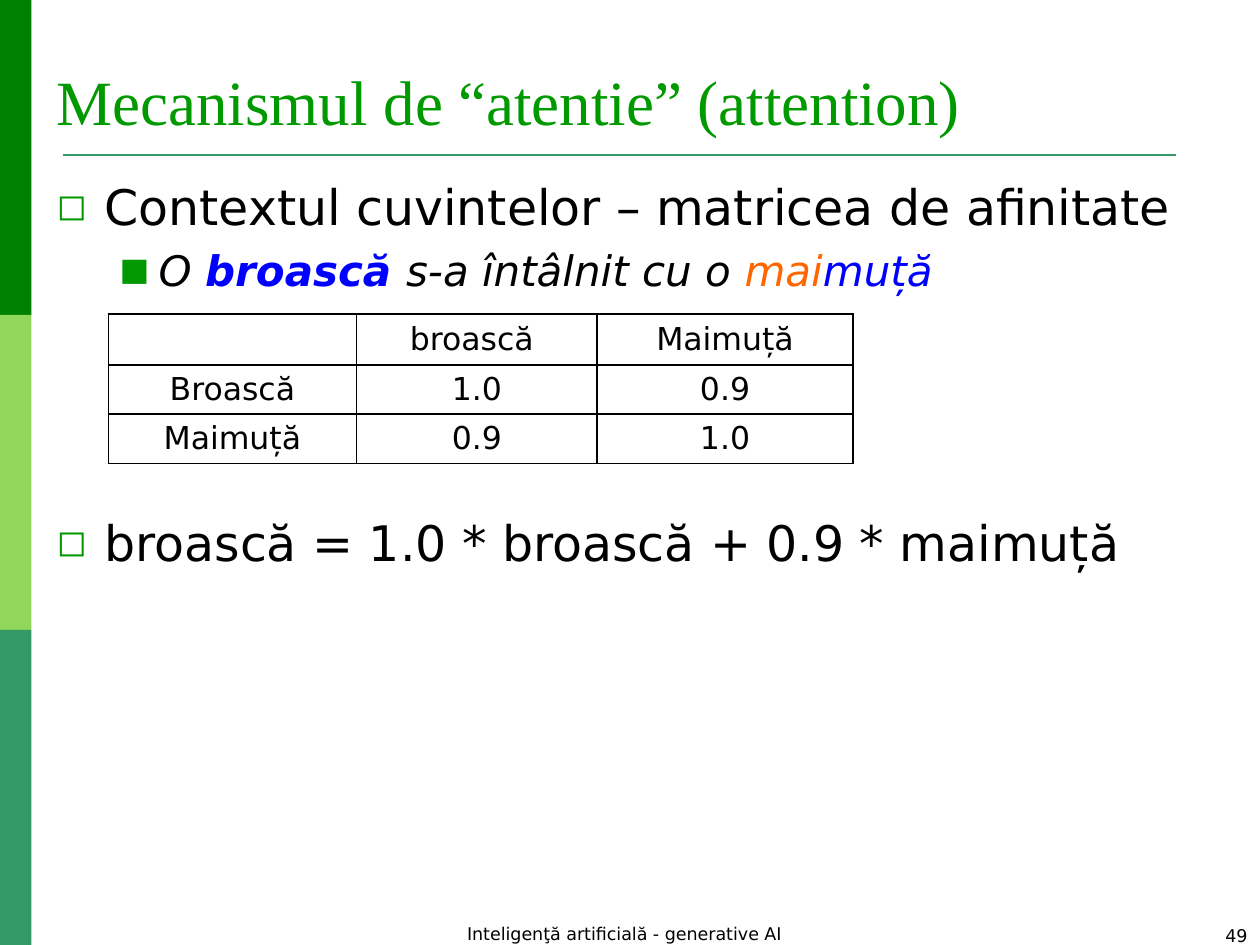
from lxml import etree
from pptx import Presentation
from pptx import util as u
from pptx.dml.color import RGBColor
from pptx.enum import shapes, text
from pptx.oxml import ns

SANS, SERIF = "DejaVu Sans", "Times New Roman"
BLACK, GREEN, TEAL = "000000", "009900", "339966"
BLUE, ORANGE = "0000FF", "FF6600"


def color(hex_value):
    return RGBColor.from_string(hex_value)


def add_xml(parent, tag, **attributes):
    return etree.SubElement(parent, ns.qn(tag), attributes)


class SlideBuilder:
    def __init__(self, slide):
        self.slide = slide

    def place(self, shape, left, top, width, height):
        shape.left, shape.top = u.Inches(left), u.Inches(top)
        shape.width, shape.height = u.Inches(width), u.Inches(height)

    def run(self, paragraph, words, size, hex_value=BLACK, face=SANS,
            bold=False, italic=False):
        run = paragraph.add_run()
        run.text = words
        font = run.font
        font.name, font.size = face, u.Pt(size)
        font.bold, font.italic = bold, italic
        font.color.rgb = color(hex_value)

    def band(self, top, height, hex_value):
        band = self.slide.shapes.add_shape(
            shapes.MSO_SHAPE.RECTANGLE, 0, u.Inches(top),
            u.Inches(0.25), u.Inches(height))
        band.shadow.inherit = False
        band.fill.solid()
        band.fill.fore_color.rgb = color(hex_value)
        band.line.fill.background()

    def rule(self, left, right, y):
        rule = self.slide.shapes.add_connector(
            shapes.MSO_CONNECTOR.STRAIGHT, u.Inches(left), u.Inches(y),
            u.Inches(right), u.Inches(y))
        rule.line.color.rgb = color(TEAL)
        rule.line.width = u.Pt(1.5)
        add_xml(rule._element.spPr, "a:effectLst")

    def title(self, words):
        title = self.slide.shapes.title
        self.place(title, 0.35, 0.13, 9.45, 1.02)
        frame = title.text_frame
        frame.auto_size = text.MSO_AUTO_SIZE.NONE
        frame.vertical_anchor = text.MSO_ANCHOR.BOTTOM
        heading = frame.paragraphs[0]
        heading.alignment = text.PP_ALIGN.LEFT
        self.run(heading, words, 36, GREEN, SERIF)

    def bullets(self, items):
        body = self.slide.placeholders[1]
        self.place(body, 0.35, 1.31, 9.45, 5.98)
        frame = body.text_frame
        frame.auto_size = text.MSO_AUTO_SIZE.NONE
        frame.margin_top = u.Inches(0.09)
        for index, (level, space, size, runs) in enumerate(items):
            item = frame.paragraphs[0] if index == 0 else frame.add_paragraph()
            item.level = level
            self.bullet_mark(item, level)
            item.space_before = u.Pt(space)
            for words, style in runs:
                self.run(item, words, size, **style)

    def bullet_mark(self, paragraph, level):
        mark, margin, hanging = (("◻", 0.38, 0.38), ("■", 0.81, 0.31))[level]
        props = paragraph._p.get_or_add_pPr()
        props.set("marL", str(u.Inches(margin)))
        props.set("indent", str(-u.Inches(hanging)))
        add_xml(add_xml(props, "a:buClr"), "a:srgbClr", val=GREEN)
        add_xml(props, "a:buSzPct", val="75000")
        add_xml(props, "a:buFont", typeface=SANS)
        add_xml(props, "a:buChar", char=mark)

    def table(self, left, top, widths, row_height, rows):
        table = self.slide.shapes.add_table(
            len(rows), len(widths), u.Inches(left), u.Inches(top),
            u.Inches(sum(widths)), u.Inches(row_height * len(rows))).table
        table.first_row = table.horz_banding = False
        for column, width in zip(table.columns, widths):
            column.width = u.Inches(width)
        for row, values in enumerate(rows):
            for column, value in enumerate(values):
                cell = table.cell(row, column)
                self.cell_borders(cell)
                cell.fill.background()
                cell.vertical_anchor = text.MSO_ANCHOR.MIDDLE
                entry = cell.text_frame.paragraphs[0]
                entry.alignment = text.PP_ALIGN.CENTER
                if value:
                    self.run(entry, value, 18)

    def cell_borders(self, cell):
        props = cell._tc.get_or_add_tcPr()
        for side in ("a:lnL", "a:lnR", "a:lnT", "a:lnB"):
            border = add_xml(props, side, w=str(u.Pt(1)))
            add_xml(add_xml(border, "a:solidFill"), "a:srgbClr", val=BLACK)

    def footer(self, words, left, top, width, height, alignment):
        footer = self.slide.shapes.add_textbox(0, 0, 0, 0)
        self.place(footer, left, top, width, height)
        footer.text_frame.word_wrap = True
        note = footer.text_frame.paragraphs[0]
        note.alignment = alignment
        self.run(note, words, 10)


def main():
    deck = Presentation()
    deck.slide_width, deck.slide_height = u.Inches(10), u.Inches(7.5)
    builder = SlideBuilder(deck.slides.add_slide(deck.slide_layouts[1]))

    # Side bands and the rule under the title
    for index, hex_value in enumerate(("008000", "90D75B", TEAL)):
        builder.band(2.5 * index, 2.5, hex_value)
    builder.rule(0.5, 9.33, 1.23)

    # Title and list; the wide gap leaves room for the table
    builder.title("Mecanismul de “atentie” (attention)")
    builder.bullets([
        (0, 0, 28, [("Contextul cuvintelor – matricea de afinitate", {})]),
        (1, 5.5, 24, [
            ("O ", {"italic": True}),
            ("broască ", {"italic": True, "bold": True, "hex_value": BLUE}),
            ("s-a întâlnit cu o ", {"italic": True}),
            ("mai", {"italic": True, "hex_value": ORANGE}),
            ("muță", {"italic": True, "hex_value": BLUE}),
        ]),
        (0, 124, 28, [("broască = 1.0 * broască + 0.9 * maimuță", {})]),
    ])

    # Affinity matrix
    builder.table(0.86, 2.49, (1.97, 1.91, 2.03), 0.39, [
        ("", "broască ", "Maimuță"),
        ("Broască", "1.0", "0.9"),
        ("Maimuță", "0.9", "1.0"),
    ])

    # Footer and page number
    builder.footer("Inteligenţă artificială - generative AI",
                   1.53, 7.28, 6.85, 0.27, text.PP_ALIGN.CENTER)
    builder.footer("49", 7.67, 7.29, 2.33, 0.21, text.PP_ALIGN.RIGHT)

    deck.save("out.pptx")


if __name__ == "__main__":
    main()
